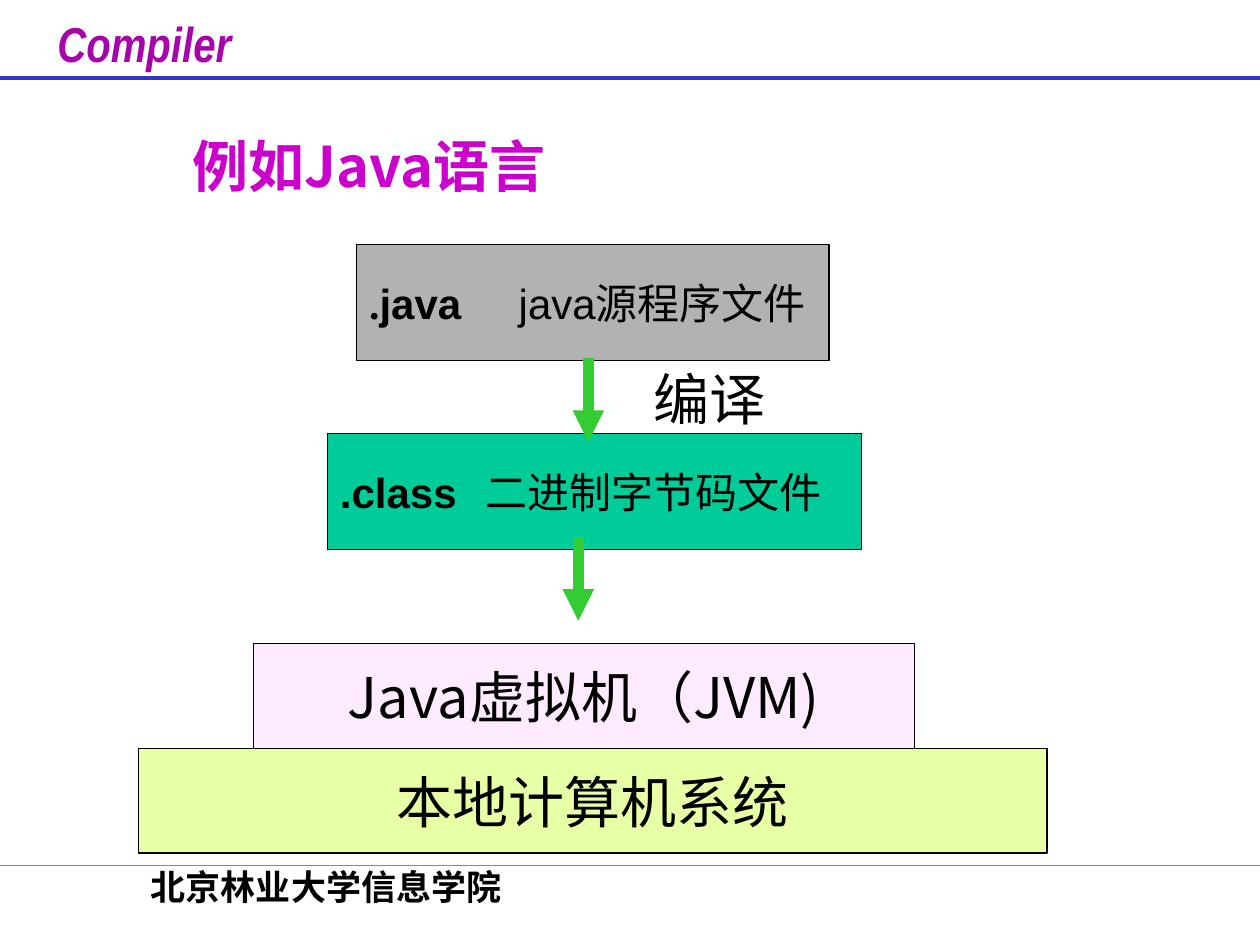
from lxml import etree
from pptx import Presentation
from pptx.dml.color import RGBColor
from pptx.enum import shapes, text
from pptx.oxml import ns
from pptx.util import Pt

BLACK = RGBColor(0, 0, 0)
PAPER = RGBColor(0xFE, 0xFF, 0xFF)
PURPLE = RGBColor(0xA6, 0x03, 0xAB)
PINK = RGBColor(0xCC, 0x00, 0xCC)
BLUE = RGBColor(0x33, 0x33, 0xCC)
TEAL = RGBColor(0x00, 0xCC, 0x99)
GREEN = RGBColor(0x33, 0xCC, 0x33)
GRAY = RGBColor(0xB2, 0xB2, 0xB2)
ROSE = RGBColor(0xFF, 0xEB, 0xFF)
LIME = RGBColor(0xE7, 0xFF, 0xA5)

HAN = "Noto Sans CJK SC"
ROMAN = "Times New Roman"
LEFT, CENTER = text.PP_ALIGN.LEFT, text.PP_ALIGN.CENTER
TOP, MIDDLE = text.MSO_ANCHOR.TOP, text.MSO_ANCHOR.MIDDLE


def add_run(para, words, size, face, bold=False, color=BLACK):
    run = para.add_run()
    run.text = words
    font = run.font
    font.size, font.name, font.bold = Pt(size), face, bold
    font.color.rgb = color
    east = etree.SubElement(run._r.get_or_add_rPr(), ns.qn("a:ea"))
    east.set("typeface", HAN)
    return run


def set_frame(shape, align, anchor):
    frame = shape.text_frame
    frame.word_wrap = True
    frame.vertical_anchor = anchor
    frame.margin_left = Pt(7.2)
    frame.margin_right = Pt(7.2 if align == CENTER else 0)
    frame.margin_top = frame.margin_bottom = Pt(3.6)
    para = frame.paragraphs[0]
    para.alignment = align
    return para


def add_label(slide, spot, words, size, face, bold=False, color=BLACK,
              align=LEFT, anchor=TOP):
    box = slide.shapes.add_textbox(*map(Pt, spot))
    return add_run(set_frame(box, align, anchor), words, size, face, bold, color)


def add_box(slide, spot, fill, align=CENTER):
    box = slide.shapes.add_shape(shapes.MSO_SHAPE.RECTANGLE, *map(Pt, spot))
    box.shadow.inherit = False
    box.fill.solid()
    box.fill.fore_color.rgb = fill
    box.line.color.rgb = BLACK
    box.line.width = Pt(0.75)
    return set_frame(box, align, MIDDLE)


def add_tab(para, stop):
    tabs = etree.SubElement(para._p.get_or_add_pPr(), ns.qn("a:tabLst"))
    etree.SubElement(tabs, ns.qn("a:tab"), pos=str(Pt(stop)), algn="l")


def add_line(slide, start, end, color, width):
    line = slide.shapes.add_connector(
        shapes.MSO_CONNECTOR.STRAIGHT, *map(Pt, start + end))
    line.line.color.rgb = color
    line.line.width = Pt(width)
    etree.SubElement(line._element.spPr, ns.qn("a:effectLst"))
    return line


def add_arrow(slide, x, y):
    arrow = add_line(slide, (x, y), (x, y + 48), GREEN, 6)
    etree.SubElement(arrow.line._get_or_add_ln(), ns.qn("a:tailEnd"),
                     type="triangle")


def main():
    prs = Presentation()
    prs.slide_width, prs.slide_height = Pt(720), Pt(540)
    slide = prs.slides.add_slide(prs.slide_layouts[6])
    slide.background.fill.solid()
    slide.background.fill.fore_color.rgb = PAPER

    # Header and footer
    add_line(slide, (0, 494.6), (720, 494.6), TEAL, 0.75)
    add_line(slide, (0, 44.6), (720, 44.6), BLUE, 2.25)
    name = add_label(slide, (13.7, 4, 137.5, 44.6), "Compiler", 28,
                     "Arial Narrow", True, PURPLE, CENTER)
    name.font.italic = True
    add_label(slide, (37.4, 491, 298, 36), "北京林业大学信息学院", 20, ROMAN,
              True, align=CENTER)

    # File boxes: extension, tab, description
    para = add_box(slide, (203.8, 139.7, 270, 66.2), GRAY, LEFT)
    add_tab(para, 85.5)
    add_run(para, ".", 24, ROMAN, True)
    add_run(para, "java\t", 24, "Arial", True)
    add_run(para, "java", 24, "Arial")
    add_run(para, "源程序文件", 24, HAN)

    para = add_box(slide, (187.2, 247.7, 305.3, 66.2), TEAL, LEFT)
    add_tab(para, 83)
    add_run(para, ".class\t", 24, "Arial", True)
    add_run(para, "二进制字节码文件", 24, HAN)

    # Platform boxes
    para = add_box(slide, (144.7, 367.9, 378, 59.8), ROSE)
    add_run(para, "Java虚拟机（JVM)", 32, HAN)
    para = add_box(slide, (79.2, 427.7, 519.1, 59.8), LIME)
    add_run(para, "本地计算机系统", 32, ROMAN)

    # Steps between the boxes
    add_arrow(slide, 336.2, 204.5)
    add_arrow(slide, 330.5, 306.7)
    add_label(slide, (366.5, 204.5, 78.5, 46), "编译", 32, ROMAN)

    # Title
    add_label(slide, (103, 69.8, 251.3, 49), "例如Java语言", 32, HAN, True,
              PINK, anchor=MIDDLE)

    prs.save("out.pptx")


if __name__ == "__main__":
    main()
